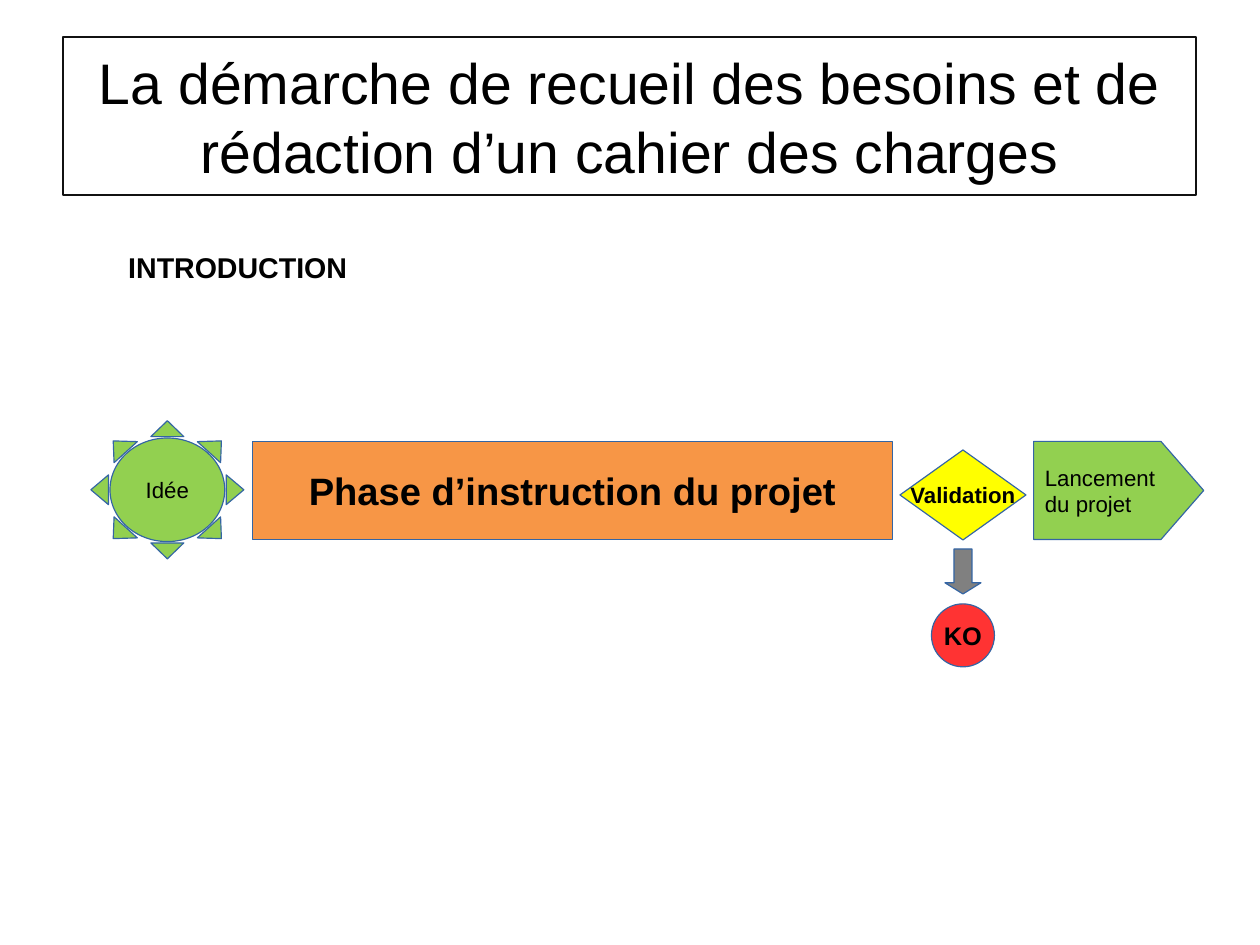
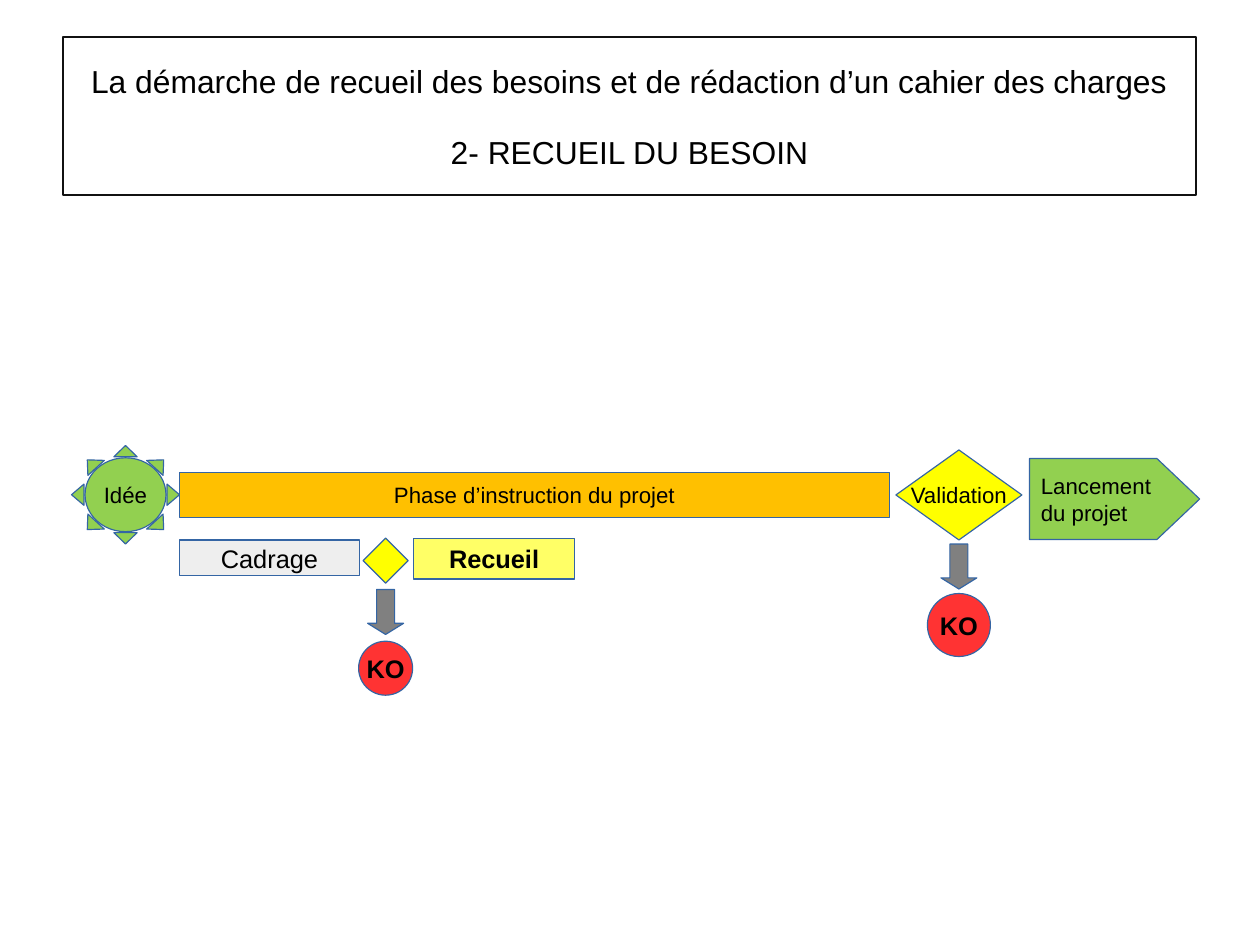
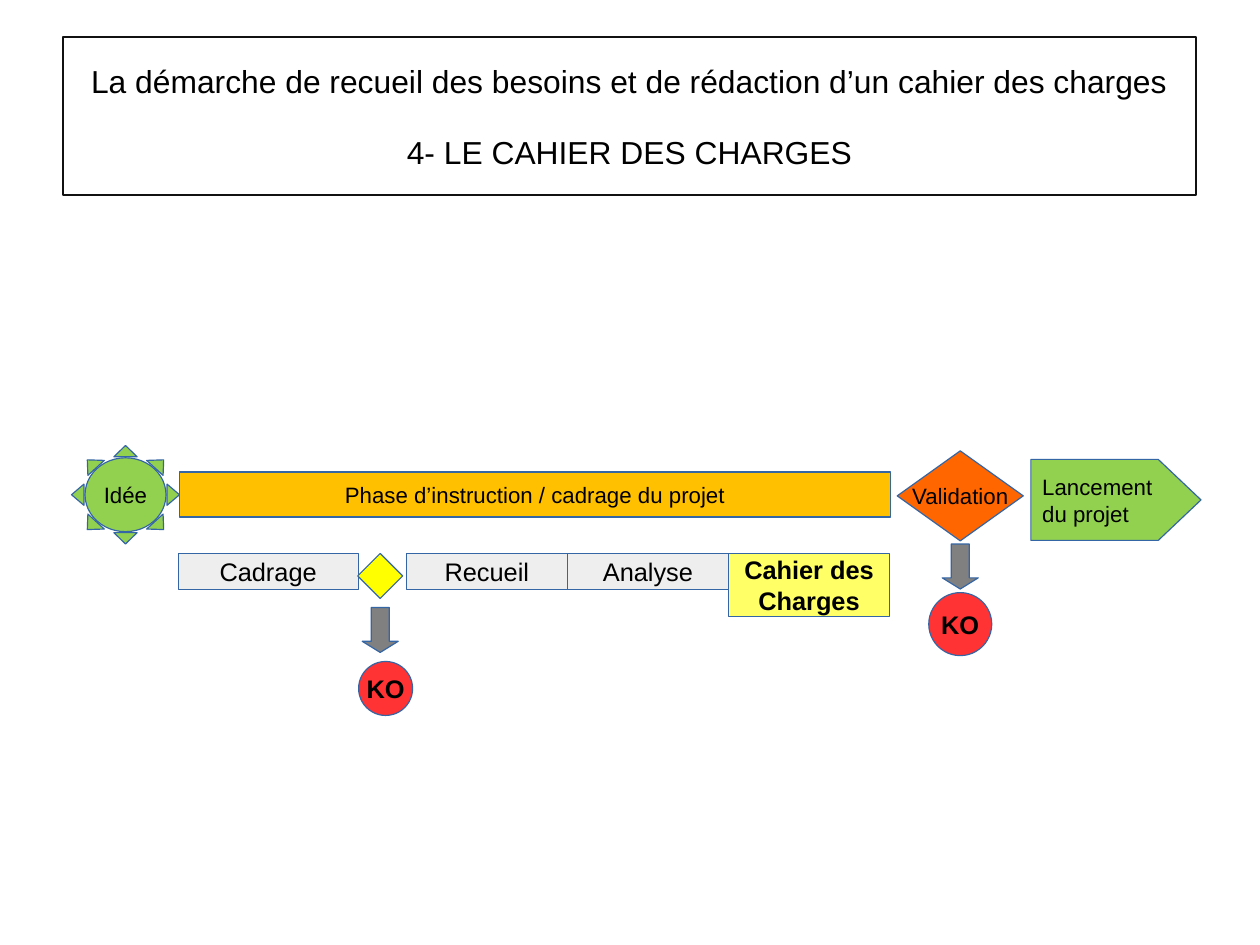
from pptx import Presentation
from pptx.dml.color import RGBColor
from pptx.enum.shapes import MSO_SHAPE
from pptx.enum.text import MSO_ANCHOR, MSO_AUTO_SIZE, PP_ALIGN
from pptx.util import Cm, Inches, Pt

RECT, SUN, OVAL = MSO_SHAPE.RECTANGLE, MSO_SHAPE.SUN, MSO_SHAPE.OVAL
DIAMOND, ARROW, PENTAGON = MSO_SHAPE.DIAMOND, MSO_SHAPE.DOWN_ARROW, MSO_SHAPE.PENTAGON
LEFT, CENTER = PP_ALIGN.LEFT, PP_ALIGN.CENTER
MIDDLE, TOP = MSO_ANCHOR.MIDDLE, MSO_ANCHOR.TOP
NO_FIT = MSO_AUTO_SIZE.NONE

COLORS = {
    "text": "000000", "frame": "111111", "outline": "3465A4",
    "green": "92D050", "yellow": "FFFF00", "orange": "F79646",
    "amber": "FFC000", "alert": "FF6600", "red": "FF3333",
    "gray": "808080", "done": "EEEEEE", "current": "FFFF66",
}
FONT = "Arial"
COLUMNS, ROWS = 28, 21
WIDTH, HEIGHT = Cm(COLUMNS), Cm(ROWS)
TITLE = "La démarche de recueil des besoins et de rédaction d’un cahier des charges"


def color(name):
    return RGBColor.from_string(COLORS[name])


def write(box, lines, size=14, bold=False, align=CENTER, anchor=MIDDLE,
          wrap=False, margins=(0.1, 0.05), gap=0):
    frame = box.text_frame
    frame.auto_size = NO_FIT
    frame.word_wrap = wrap
    frame.vertical_anchor = anchor
    frame.margin_left = frame.margin_right = Inches(margins[0])
    frame.margin_top = frame.margin_bottom = Inches(margins[1])
    for index, line in enumerate(lines):
        para = frame.add_paragraph() if index else frame.paragraphs[0]
        para.alignment = align
        para.space_before = Pt(gap if index else 0)
        span = para.add_run()
        span.text = line
        span.font.name = FONT
        span.font.size = Pt(size)
        span.font.bold = bold
        span.font.color.rgb = color("text")


class ProjectDeck:
    def __init__(self):
        self.deck = Presentation()
        self.deck.slide_width, self.deck.slide_height = WIDTH, HEIGHT
        self.page = None

    def place(self, left, top, width, height):
        return (int(left * WIDTH / COLUMNS), int(top * HEIGHT / ROWS),
                int(width * WIDTH / COLUMNS), int(height * HEIGHT / ROWS))

    def new_page(self, lines, size):
        self.page = self.deck.slides.add_slide(self.deck.slide_layouts[5])
        box = self.page.shapes.title
        box.left, box.top, box.width, box.height = self.place(1.4, 0.82, 25.18, 3.52)
        box.line.color.rgb = color("frame")
        box.line.width = Pt(1)
        write(box, lines, size, wrap=True, margins=(0.01, 0.01), gap=21)

    def heading(self, text, left, top, width, height):
        box = self.page.shapes.add_textbox(*self.place(left, top, width, height))
        write(box, [text], 18, bold=True, align=LEFT, anchor=TOP, wrap=True)

    def shape(self, kind, fill, left, top, width, height, lines=(), adjust=(), **style):
        box = self.page.shapes.add_shape(kind, *self.place(left, top, width, height))
        box.shadow.inherit = False
        box.fill.solid()
        box.fill.fore_color.rgb = color(fill)
        box.line.color.rgb = color("outline")
        box.line.width = Pt(0.75)
        for index, value in enumerate(adjust):
            box.adjustments[index] = value
        if lines:
            write(box, lines, **style)

    def idea(self, left, top, width, height):
        self.shape(SUN, "green", left, top, width, height, ["Idée"], adjust=[0.125])

    def step(self, text, fill, left, top, width, height, size=16, bold=False):
        self.shape(RECT, fill, left, top, width, height, text.split("\n"),
                   size=size, bold=bold)

    def decision(self, center, top, width, height, arrow_top, ko_top, ko_size,
                 fill="yellow", lines=(), bold=False, ko_shift=0):
        self.shape(DIAMOND, fill, center - width / 2, top, width, height, lines, bold=bold)
        self.shape(ARROW, "gray", center - 0.4, arrow_top, 0.8, 1, adjust=[0.5, 0.31])
        self.shape(OVAL, "red", center + ko_shift - ko_size / 2, ko_top, ko_size, ko_size,
                   ["KO"], size=16, bold=True)

    def validation(self, center, top, arrow_top, ko_top, launch_height, **style):
        self.decision(center, top, 2.8, 2, arrow_top, ko_top, 1.4,
                      lines=["Validation"], **style)
        self.shape(PENTAGON, "green", center + 1.57, top + 1.99 - launch_height, 3.78,
                   launch_height, ["Lancement", "du projet"],
                   adjust=[0.95 / launch_height], align=LEFT, wrap=True)


def main():
    project = ProjectDeck()

    project.new_page([TITLE], 36)
    project.heading("INTRODUCTION", 2.6, 5.43, 6.07, 1.03)
    project.idea(2.02, 9.35, 3.4, 3.07)
    project.step("Phase d’instruction du projet", "orange", 5.61, 9.81, 14.22, 2.18,
                 size=24, bold=True)
    project.validation(21.4, 10, 12.2, 13.42, 2.18, bold=True)

    project.new_page([TITLE, "2- RECUEIL DU BESOIN"], 20)
    project.idea(1.59, 9.9, 2.4, 2.19)
    project.step("Phase d’instruction du projet", "amber", 3.99, 10.5, 15.78, 1, size=14)
    project.validation(21.31, 10, 12.09, 13.19, 1.8)
    project.step("Cadrage", "done", 3.99, 12, 4, 0.8)
    project.decision(8.57, 11.96, 1, 1, 13.1, 14.25, 1.2)
    project.step("Recueil", "current", 9.19, 11.96, 3.58, 0.91, bold=True)

    project.new_page([TITLE, "4- LE CAHIER DES CHARGES"], 20)
    project.idea(1.59, 9.9, 2.4, 2.19)
    project.step("Phase d’instruction / cadrage du projet", "amber", 3.99, 10.49, 15.8, 1,
                 size=14)
    project.validation(21.34, 10.02, 12.09, 13.17, 1.8, fill="alert")
    project.step("Cadrage", "done", 3.96, 12.3, 4, 0.8)
    project.decision(8.45, 12.3, 1, 1, 13.5, 14.7, 1.2, ko_shift=0.12)
    steps = [("Recueil", "done", 0.8), ("Analyse", "done", 0.8),
             ("Cahier des\nCharges", "current", 1.4)]
    for index, (text, fill, height) in enumerate(steps):
        project.step(text, fill, 9.03 + 3.58 * index, 12.3, 3.58, height,
                     bold=fill == "current")

    project.deck.save("out.pptx")


if __name__ == "__main__":
    main()
